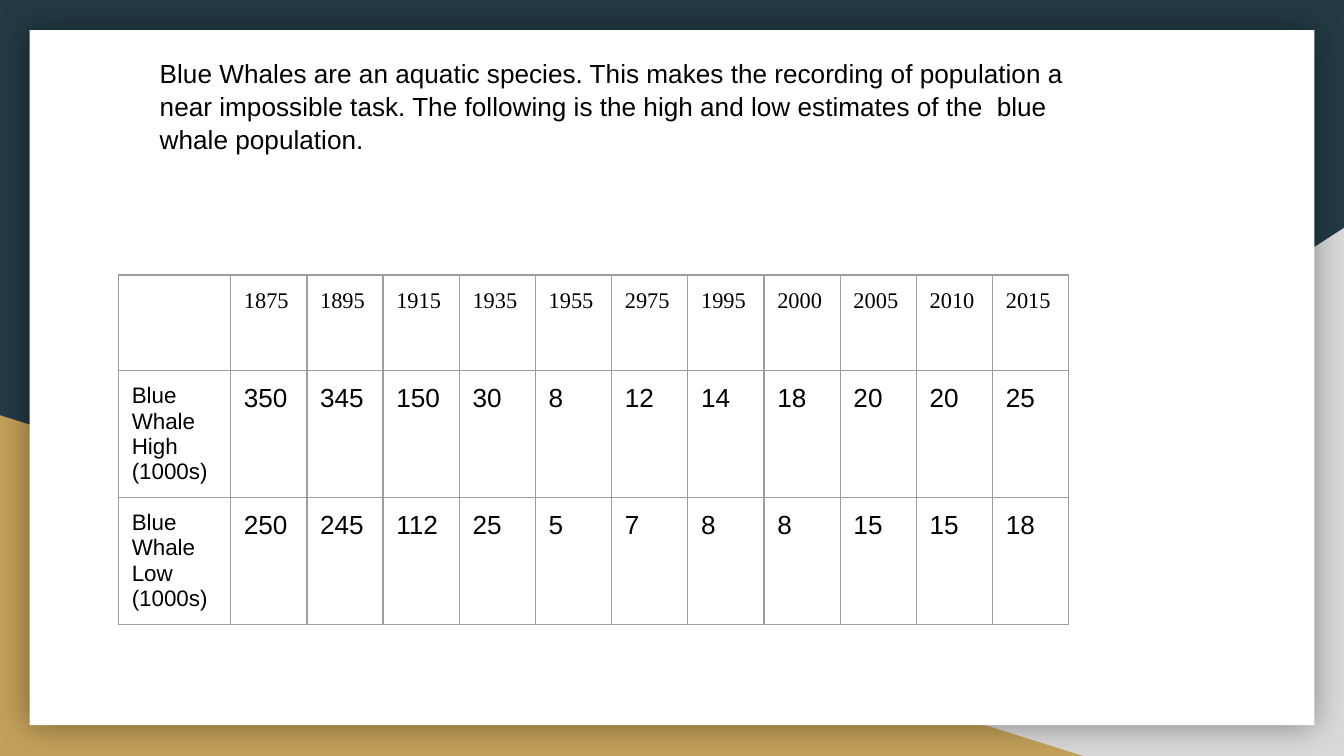
from lxml.etree import SubElement
from pptx import Presentation
from pptx.dml.color import RGBColor
from pptx.enum.shapes import MSO_SHAPE
from pptx.oxml import parse_xml
from pptx.oxml.ns import nsdecls, qn
from pptx.util import Cm, Pt

NAVY = RGBColor(0x23, 0x3A, 0x44)
GREY = RGBColor(0xD9, 0xD9, 0xD9)
GOLD = RGBColor(0xC4, 0xA1, 0x5A)
WHITE = RGBColor(0xFF, 0xFF, 0xFF)
BLACK = RGBColor(0x00, 0x00, 0x00)
BORDER = RGBColor(0x9E, 0x9E, 0x9E)

SLIDE_WIDTH, SLIDE_HEIGHT = 25.4, 14.29
INSET = Cm(0.25)
LABEL_WIDTH, YEAR_WIDTH = 2.12, 1.44
ROW_HEIGHTS = (1.8, 2.4, 2.4)

INTRODUCTION = (
    "Blue Whales are an aquatic species. This makes the recording of population "
    "a near impossible task. The following is the high and low estimates of the  "
    "blue whale population."
)
ESTIMATES = (
    ("", 1875, 1895, 1915, 1935, 1955, 2975, 1995, 2000, 2005, 2010, 2015),
    ("Blue Whale\nHigh (1000s)", 350, 345, 150, 30, 8, 12, 14, 18, 20, 20, 25),
    ("Blue Whale\nLow\n(1000s)", 250, 245, 112, 25, 5, 7, 8, 8, 15, 15, 18),
)


def add_panel(slide, kind, left, top, width, height, color):
    """Add a plain filled shape without an outline."""
    shape = slide.shapes.add_shape(kind, Cm(left), Cm(top), Cm(width), Cm(height))
    shape.shadow.inherit = False
    shape.fill.solid()
    shape.fill.fore_color.rgb = color
    shape.line.fill.background()
    return shape


def add_soft_shadow(shape):
    """Give a shape a soft black shadow on all sides."""
    effects = shape._element.spPr.find(qn("a:effectLst"))
    effects.append(parse_xml(
        f'<a:outerShdw {nsdecls("a")} blurRad="{Pt(18)}" dist="0" dir="0" '
        'algn="ctr" rotWithShape="0"><a:srgbClr val="000000">'
        '<a:alpha val="40000"/></a:srgbClr></a:outerShdw>'
    ))


def add_background(slide):
    """Draw the navy backdrop, the two corner triangles and the white sheet."""
    slide.background.fill.solid()
    slide.background.fill.fore_color.rgb = NAVY
    triangle = MSO_SHAPE.RIGHT_TRIANGLE
    right_corner = add_panel(slide, triangle, 9.96, 4.31, 15.44, 9.98, GREY)
    right_corner._element.spPr.xfrm.set("flipH", "1")
    add_panel(slide, triangle, 0, 7.85, 20.47, 6.44, GOLD)
    sheet = add_panel(slide, MSO_SHAPE.RECTANGLE, 0.56, 0.57, 24.28, 13.14, WHITE)
    add_soft_shadow(sheet)


def set_text(text_frame, text, size, font_name="Arial"):
    """Fill a text frame and format all of its runs."""
    text_frame.text = text
    for paragraph in text_frame.paragraphs:
        for run in paragraph.runs:
            run.font.size = Pt(size)
            run.font.name = font_name
            run.font.color.rgb = BLACK


def set_insets(frame):
    """Set equal margins on a cell or a text frame."""
    frame.margin_left = frame.margin_right = INSET
    frame.margin_top = frame.margin_bottom = INSET


def set_borders(cell):
    """Draw a thin grey line on each side of a cell."""
    properties = cell._tc.get_or_add_tcPr()
    for side in ("a:lnL", "a:lnR", "a:lnT", "a:lnB"):
        line = SubElement(properties, qn(side), w=str(Pt(0.75)))
        fill = SubElement(line, qn("a:solidFill"))
        SubElement(fill, qn("a:srgbClr"), val=str(BORDER))


def add_introduction(slide):
    """Add the paragraph above the table."""
    text_box = slide.shapes.add_textbox(Cm(2.77), Cm(0.81), Cm(18.67), Cm(3.2))
    text_frame = text_box.text_frame
    text_frame.word_wrap = True
    set_insets(text_frame)
    set_text(text_frame, INTRODUCTION, 14)
    text_frame.paragraphs[0].line_spacing = 1.05


def add_estimates_table(slide):
    """Add the table of high and low population estimates by year."""
    column_widths = [LABEL_WIDTH] + [YEAR_WIDTH] * (len(ESTIMATES[0]) - 1)
    table = slide.shapes.add_table(
        len(ESTIMATES), len(column_widths), Cm(2.24), Cm(5.2),
        Cm(sum(column_widths)), Cm(sum(ROW_HEIGHTS)),
    ).table
    table.first_row = table.horz_banding = False
    for column, width in zip(table.columns, column_widths):
        column.width = Cm(width)
    for row, height in zip(table.rows, ROW_HEIGHTS):
        row.height = Cm(height)
    for row_index, values in enumerate(ESTIMATES):
        for column_index, value in enumerate(values):
            cell = table.cell(row_index, column_index)
            set_insets(cell)
            set_borders(cell)
            cell.fill.background()
            is_header = row_index == 0
            size = 12 if is_header or column_index == 0 else 14
            font_name = "Times New Roman" if is_header else "Arial"
            set_text(cell.text_frame, str(value), size, font_name)


def main():
    """Build the slide and save it."""
    presentation = Presentation()
    presentation.slide_width = Cm(SLIDE_WIDTH)
    presentation.slide_height = Cm(SLIDE_HEIGHT)
    slide = presentation.slides.add_slide(presentation.slide_layouts[6])
    add_background(slide)
    add_estimates_table(slide)
    add_introduction(slide)
    presentation.save("out.pptx")


if __name__ == "__main__":
    main()
